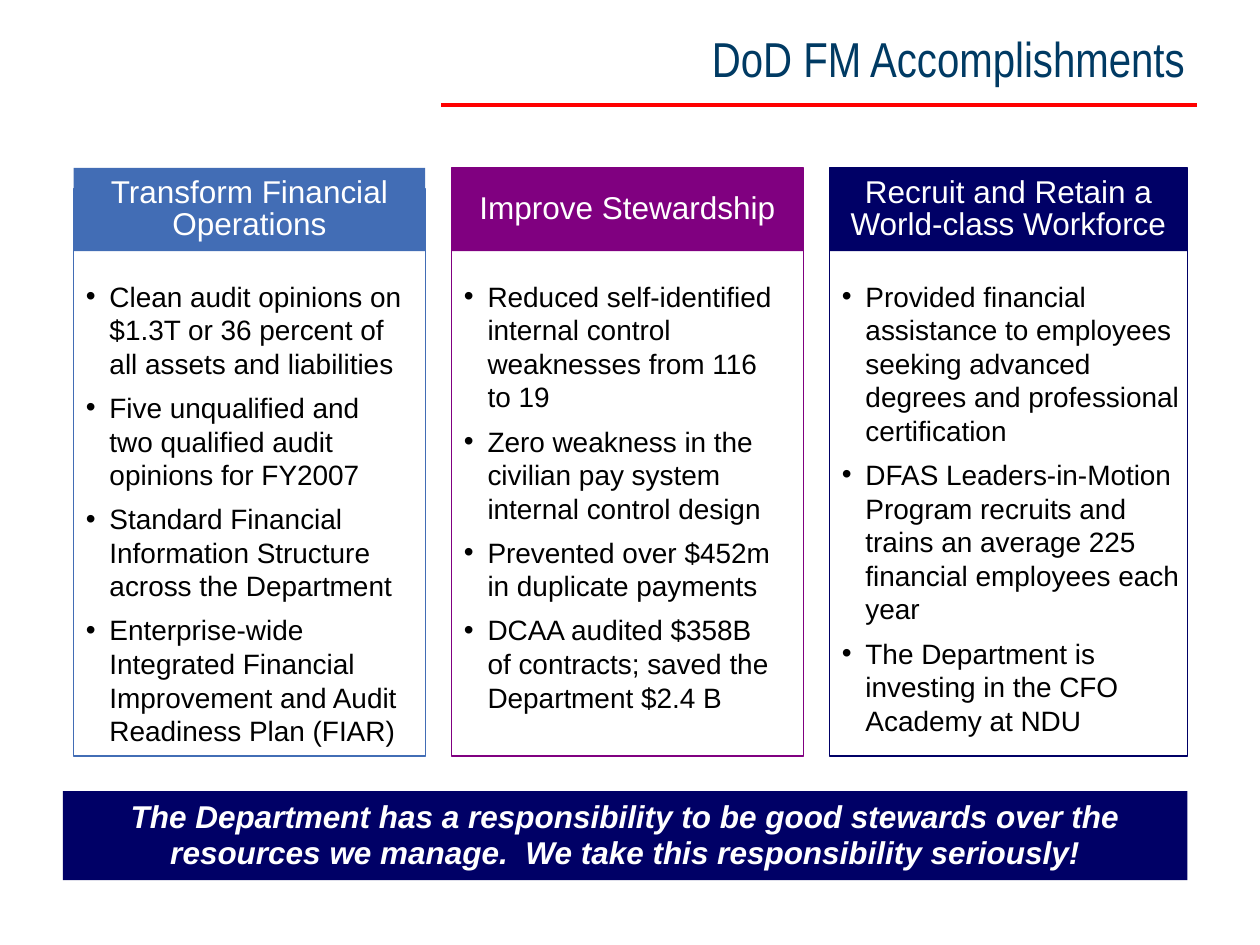
"""Build the DoD FM Accomplishments slide."""
import lxml.etree
import pptx
import pptx.dml.color
import pptx.enum.shapes
import pptx.enum.text
import pptx.oxml
import pptx.oxml.ns
import pptx.util

Pt = pptx.util.Pt
qn = pptx.oxml.ns.qn
ALIGN = pptx.enum.text.PP_ALIGN
ANCHOR = pptx.enum.text.MSO_ANCHOR

NAVY, BLUE, PURPLE = "000066", "426DB5", "800080"


def colour(value):
    return pptx.dml.color.RGBColor.from_string(value)


class Board:
    font = "Arial"
    bullet_indent = 13.5
    bullet_gap = 6

    def __init__(self, slide):
        self.slide = slide

    def style(self, paragraph, size, ink, font=None, bold=False, italic=False):
        for run in paragraph.runs:
            run.font.name = font or self.font
            run.font.size = Pt(size)
            run.font.bold = bold
            run.font.italic = italic
            run.font.color.rgb = colour(ink)

    def rule(self, left, right, y, ink, width):
        rule = self.slide.shapes.add_connector(
            pptx.enum.shapes.MSO_CONNECTOR.STRAIGHT, Pt(left), Pt(y), Pt(right), Pt(y))
        rule.line.color.rgb = colour(ink)
        rule.line.width = Pt(width)
        lxml.etree.SubElement(rule._element.spPr, qn("a:effectLst"))

    def rectangle(self, left, top, width, height):
        rectangle = self.slide.shapes.add_shape(
            pptx.enum.shapes.MSO_SHAPE.RECTANGLE, Pt(left), Pt(top), Pt(width), Pt(height))
        rectangle.shadow.inherit = False
        return rectangle

    def frame(self, left, top, width, height, ink):
        frame = self.rectangle(left, top, width, height)
        frame.fill.background()
        frame.line.color.rgb = colour(ink)
        frame.line.width = Pt(0.75)

    def banner(self, left, top, width, height, text, fill, spacing, inset=0, strong=False):
        banner = self.rectangle(left, top, width, height)
        banner.fill.solid()
        banner.fill.fore_color.rgb = colour(fill)
        banner.line.fill.background()
        content = banner.text_frame
        content.word_wrap = True
        content.vertical_anchor = ANCHOR.MIDDLE
        content.margin_left = content.margin_right = Pt(inset)
        content.margin_top = content.margin_bottom = Pt(inset / 2)
        content.text = text
        wording = content.paragraphs[0]
        wording.alignment = ALIGN.CENTER
        wording.line_spacing = spacing
        self.style(wording, 18, "FFFFFF", bold=strong, italic=strong)

    def text(self, left, top, width, height, text):
        box = self.slide.shapes.add_textbox(Pt(left), Pt(top), Pt(width), Pt(height))
        box.text_frame.word_wrap = True
        box.text_frame.text = text
        return box.text_frame

    def title(self, left, top, width, height, text):
        content = self.text(left, top, width, height, text)
        content.vertical_anchor = ANCHOR.MIDDLE
        heading = content.paragraphs[0]
        heading.alignment = ALIGN.RIGHT
        heading.line_spacing = 0.8
        self.style(heading, 28, "003A63", font="Arial Narrow")

    def bullets(self, left, top, width, height, items):
        content = self.text(left, top, width, height, "\n".join(items))
        for index, item in enumerate(content.paragraphs):
            properties = item._p.get_or_add_pPr()
            indent = Pt(self.bullet_indent)
            properties.set("marL", str(indent))
            properties.set("indent", str(-indent))
            ink = lxml.etree.SubElement(properties, qn("a:buClr"))
            lxml.etree.SubElement(ink, qn("a:srgbClr"), val="000000")
            lxml.etree.SubElement(properties, qn("a:buFont"), typeface=self.font)
            lxml.etree.SubElement(properties, qn("a:buChar"), char="•")
            if index:
                item.space_before = Pt(self.bullet_gap)
            self.style(item, 16, "000000")
        return content


COLUMNS = [
    ("Transform Financial Operations", BLUE, 201, 199.5, 108, [
        "Clean audit opinions on $1.3T or 36 percent of all assets and liabilities",
        "Five unqualified and two qualified audit opinions for FY2007",
        "Standard Financial Information Structure across the Department",
        "Enterprise-wide Integrated Financial Improvement and Audit Readiness Plan (FIAR)",
    ]),
    ("Improve Stewardship", PURPLE, 201, 195, 96, [
        "Reduced self-identified internal control weaknesses from 116 to 19",
        "Zero weakness in the civilian pay system internal control design",
        "Prevented over $452m in duplicate payments",
        "DCAA audited $358B of contracts; saved the Department $2.4 B",
    ]),
    ("Recruit and Retain a World-class Workforce", NAVY, 204.5, 216, 96, [
        "Provided financial assistance to employees seeking advanced degrees "
        "and professional certification",
        "DFAS Leaders-in-Motion Program recruits and trains an average 225 "
        "financial employees each year",
        "The Department is investing in the CFO Academy at NDU",
    ]),
]
FIRST_LEFT, PITCH = 42, 216
HEADER_TOP, HEADER_HEIGHT, BULLETS_TOP, BOTTOM = 96, 47.5, 156, 432


def main():
    deck = pptx.Presentation()
    deck.slide_width, deck.slide_height = Pt(720), Pt(540)
    board = Board(deck.slides.add_slide(deck.slide_layouts[6]))

    board.rule(252, 684, 60, "FF0000", 2.25)
    board.title(210, 18.5, 474, 35.5, "DoD FM Accomplishments")
    board.banner(
        36, 452, 642.5, 51,
        "The Department has a responsibility to be good stewards over the "
        "resources we manage.  We take this responsibility seriously!",
        NAVY, 0.95, inset=7.2, strong=True)

    for index, (heading, ink, width, text_width, frame_top, items) in enumerate(COLUMNS):
        left = FIRST_LEFT + index * PITCH
        board.frame(left, frame_top, width, BOTTOM - frame_top, ink)
        board.banner(left, HEADER_TOP, width, HEADER_HEIGHT, heading, ink, 0.85)
        board.bullets(left, BULLETS_TOP, text_width, BOTTOM - BULLETS_TOP, items)

    deck.save("out.pptx")


if __name__ == "__main__":
    main()
